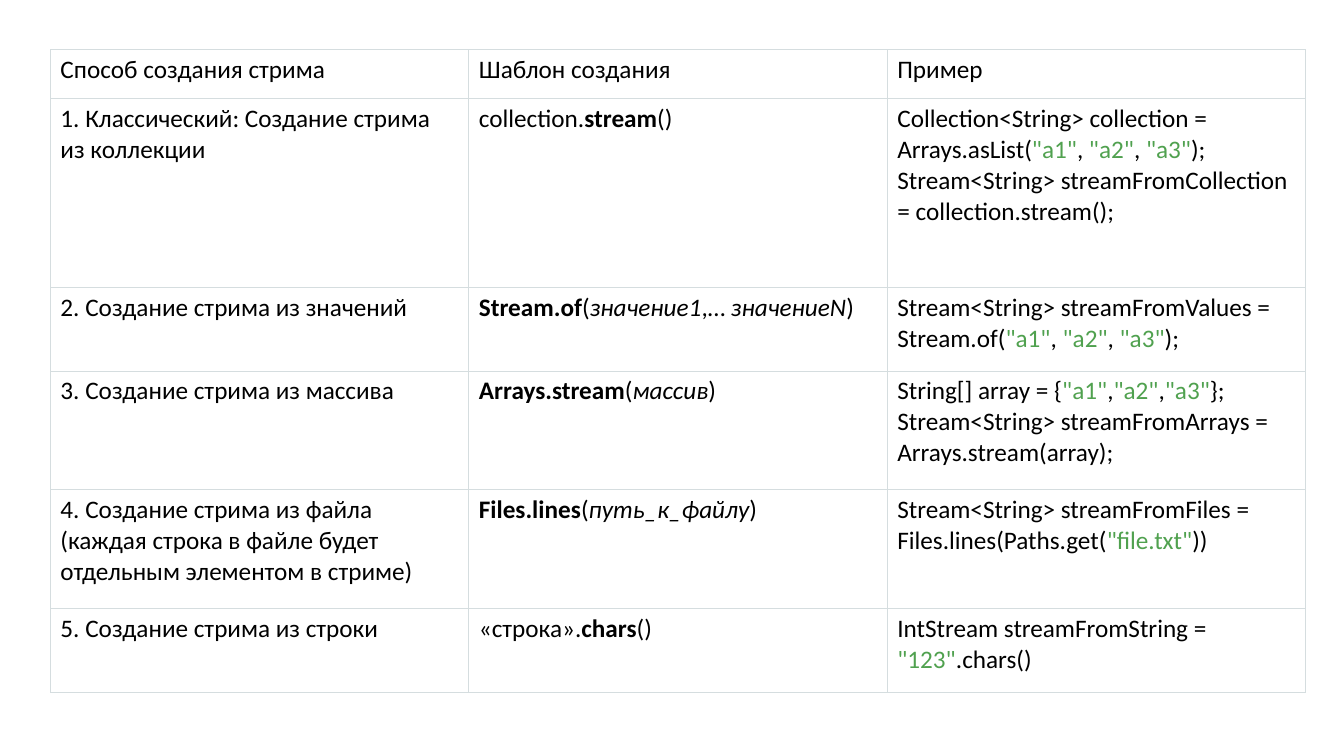
import pptx
import pptx.dml.color
import pptx.oxml
import pptx.oxml.ns
import pptx.util

RGBColor = pptx.dml.color.RGBColor
BLACK = RGBColor(0x00, 0x00, 0x00)
GREEN = RGBColor(0x50, 0xA1, 0x4F)
BORDER = RGBColor(0xD5, 0xDD, 0xDF)
PX = 9144  # EMU, 100 px to the inch

PLAIN, BOLD, ITALIC = range(3)

COLUMN_WIDTH = 415
ROW_HEIGHTS = [49, 187, 83, 118, 118, 83]
HEADER = ("Способ создания стрима", [("Шаблон создания", PLAIN)], "Пример")
METHODS = [
    ("1. Классический: Создание стрима из коллекции",
     [("collection.", PLAIN), ("stream", BOLD), ("()", PLAIN)],
     'Collection<String> collection = Arrays.asList("a1", "a2", "a3"); '
     "Stream<String> streamFromCollection = collection.stream();"),
    ("2. Создание стрима из значений",
     [("Stream.of", BOLD), ("(", PLAIN), ("значение1", ITALIC),
      (",… ", PLAIN), ("значениеN", ITALIC), (")", PLAIN)],
     'Stream<String> streamFromValues = Stream.of("a1", "a2", "a3");'),
    ("3. Создание стрима из массива",
     [("Arrays.stream", BOLD), ("(", PLAIN), ("массив", ITALIC), (")", PLAIN)],
     'String[] array = {"a1","a2","a3"}; '
     "Stream<String> streamFromArrays = Arrays.stream(array);"),
    ("4. Создание стрима из файла (каждая строка в файле будет "
     "отдельным элементом в стриме)",
     [("Files.lines", BOLD), ("(", PLAIN), ("путь_к_файлу", ITALIC), (")", PLAIN)],
     'Stream<String> streamFromFiles = Files.lines(Paths.get("file.txt"))'),
    ("5. Создание стрима из строки",
     [("«строка».", PLAIN), ("chars", BOLD), ("()", PLAIN)],
     'IntStream streamFromString = "123".chars()'),
]


def set_borders(cell):
    tcPr = cell._tc.get_or_add_tcPr()
    for i, side in enumerate(("lnL", "lnR", "lnT", "lnB")):
        tcPr.insert(i, pptx.oxml.parse_xml(
            f'<a:{side} {pptx.oxml.ns.nsdecls("a")} w="7620"><a:solidFill>'
            f'<a:srgbClr val="{BORDER}"/></a:solidFill></a:{side}>'))


def format_cell(cell):
    cell.margin_left = cell.margin_right = 10 * PX
    cell.margin_top, cell.margin_bottom = 5 * PX, 7 * PX
    cell.fill.background()
    set_borders(cell)
    font = cell.text_frame.paragraphs[0].font
    font.name, font.size = "Calibri", pptx.util.Pt(18)
    font.color.rgb = BLACK


def add_template(p, pieces):
    for text, style in pieces:
        r = p.add_run()
        r.text = text
        if style == BOLD:
            r.font.bold = True
        elif style == ITALIC:
            r.font.italic = True


def add_code(p, code):
    """Add code as runs, with its string literals in green."""
    for i, text in enumerate(code.split('"')):
        r = p.add_run()
        r.text = f'"{text}"' if i % 2 else text
        if i % 2:
            r.font.color.rgb = GREEN


def add_methods_table(s, left, top):
    rows = [HEADER] + METHODS
    table = s.shapes.add_table(
        len(rows), len(HEADER), left * PX, top * PX,
        len(HEADER) * COLUMN_WIDTH * PX, sum(ROW_HEIGHTS) * PX).table
    table.first_row = table.horz_banding = False
    for column in table.columns:
        column.width = COLUMN_WIDTH * PX
    for row, height, (name, template, example) in zip(table.rows, ROW_HEIGHTS, rows):
        row.height = height * PX
        for cell in row.cells:
            format_cell(cell)
        name_p, template_p, example_p = (c.text_frame.paragraphs[0] for c in row.cells)
        name_p.add_run().text = name
        add_template(template_p, template)
        add_code(example_p, example)


def main():
    prs = pptx.Presentation()
    prs.slide_width, prs.slide_height = 1333 * PX, 750 * PX
    s = prs.slides.add_slide(prs.slide_layouts[6])
    add_methods_table(s, 50, 49)
    prs.save("out.pptx")


if __name__ == "__main__":
    main()
